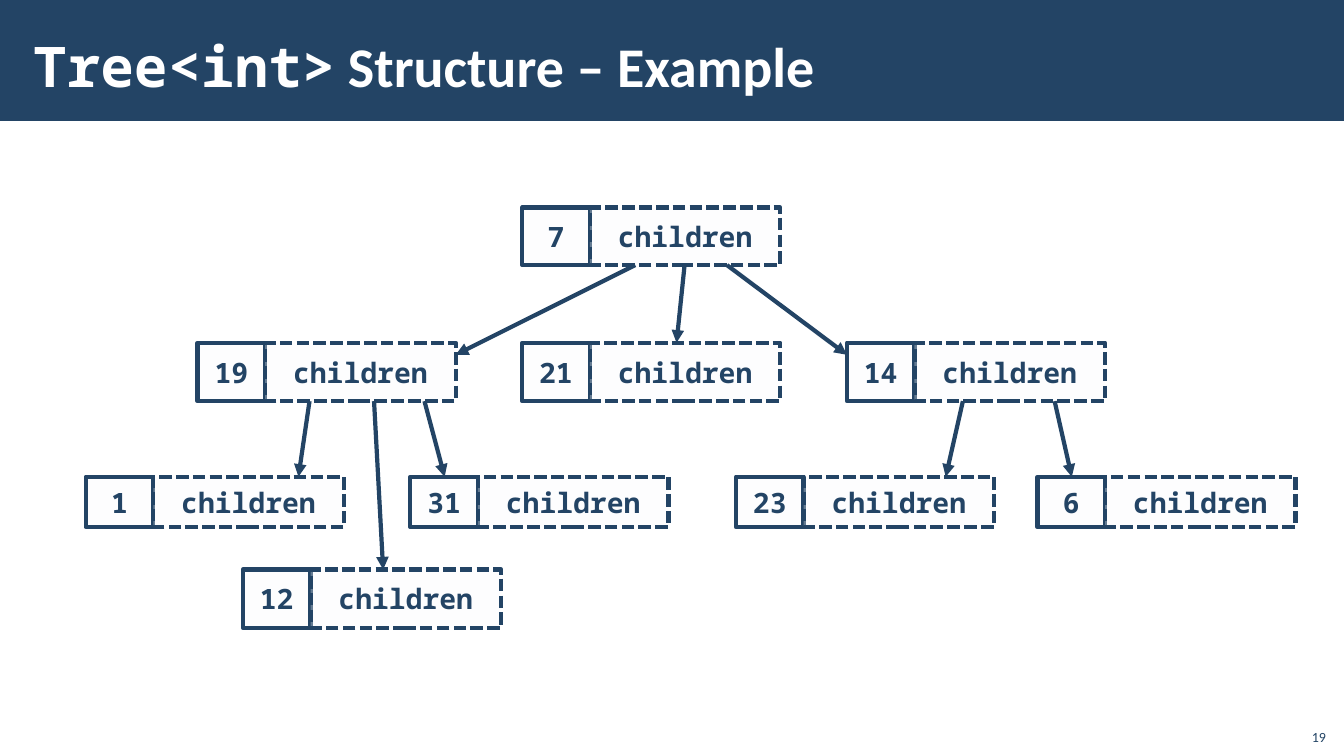
from lxml import etree
from pptx import Presentation
from pptx.dml.color import RGBColor
from pptx.enum.dml import MSO_LINE
from pptx.enum.shapes import MSO_CONNECTOR, MSO_SHAPE
from pptx.enum.text import MSO_ANCHOR as ANCHOR, PP_ALIGN as ALIGN
from pptx.oxml.ns import qn
from pptx.util import Inches, Pt

NAVY = RGBColor(0x23, 0x44, 0x65)
PALE = RGBColor(0xFB, 0xFB, 0xFC)
WHITE = RGBColor(0xFF, 0xFF, 0xFF)
MONO, SANS = "Noto Sans Mono", "Calibri"
VALUE_W, CHILDREN_W = 0.67, 1.89

# value, left, top, height
NODES = [
    ("7", 5.18, 2.06, 0.57),
    ("19", 1.96, 3.4, 0.58),
    ("21", 5.18, 3.4, 0.58),
    ("14", 8.4, 3.4, 0.58),
    ("1", 0.85, 4.73, 0.5),
    ("12", 2.41, 5.65, 0.58),
    ("31", 4.07, 4.73, 0.5),
    ("23", 7.3, 4.73, 0.5),
    ("6", 10.29, 4.73, 0.5),
]
# start x, start y, end x, end y
ARROWS = [
    (6.3, 2.63, 4.52, 3.52),
    (6.79, 2.63, 6.71, 3.4),
    (7.21, 2.63, 8.4, 3.52),
    (3.07, 3.98, 2.96, 4.73),
    (3.71, 3.98, 3.8, 5.65),
    (4.21, 3.98, 4.41, 4.73),
    (9.55, 3.98, 9.38, 4.73),
    (10.46, 3.98, 10.63, 4.73),
]


def add_text(sp, *runs, size, color=NAVY, bold=False, align=ALIGN.LEFT,
             anchor=ANCHOR.MIDDLE, wrap=True):
    """Fill a shape with one paragraph made of (text, font name) runs."""
    tf = sp.text_frame
    tf.word_wrap = wrap
    tf.vertical_anchor = anchor
    p = tf.paragraphs[0]
    p.alignment = align
    for text, font in runs:
        r = p.add_run()
        r.text = text
        r.font.name = font
        r.font.size = Pt(size)
        r.font.bold = bold
        r.font.color.rgb = color
    return tf


prs = Presentation()
prs.slide_width, prs.slide_height = Inches(13.33), Inches(7.5)
s = prs.slides.add_slide(prs.slide_layouts[6])

banner = s.shapes.add_shape(MSO_SHAPE.RECTANGLE, 0, 0, prs.slide_width, Inches(1.2))
banner.shadow.inherit = False
banner.fill.solid()
banner.fill.fore_color.rgb = NAVY
banner.line.fill.background()

title = s.shapes.add_textbox(Inches(0.21), Inches(0.04), Inches(10.47), Inches(1.21))
tf = add_text(title, ("Tree<int>", MONO), (" Structure – Example", SANS),
              size=40, color=WHITE, bold=True)
tf.margin_left = tf.margin_right = Inches(0.12)
tf.margin_top = tf.margin_bottom = Inches(0.04)

for value, left, top, height in NODES:
    cells = [(value, left, VALUE_W, MSO_LINE.SOLID),
             ("children", left + VALUE_W, CHILDREN_W, MSO_LINE.SQUARE_DOT)]
    for text, x, width, dash in cells:
        sp = s.shapes.add_shape(MSO_SHAPE.RECTANGLE, Inches(x), Inches(top),
                                Inches(width), Inches(height))
        sp.shadow.inherit = False
        sp.fill.solid()
        sp.fill.fore_color.rgb = PALE
        clr = next(sp.fill._xPr.iter(qn("a:srgbClr")))
        etree.SubElement(clr, qn("a:alpha"), val="30000")
        sp.line.color.rgb = NAVY
        sp.line.width = Pt(3)
        sp.line.dash_style = dash
        add_text(sp, (text, MONO), size=20, bold=True, align=ALIGN.CENTER, wrap=False)

for arrow in ARROWS:
    cx = s.shapes.add_connector(MSO_CONNECTOR.STRAIGHT, *map(Inches, arrow))
    cx.line.color.rgb = NAVY
    cx.line.width = Pt(3)
    etree.SubElement(cx.line._get_or_add_ln(), qn("a:tailEnd"), type="triangle")
    etree.SubElement(cx._element.spPr, qn("a:effectLst"))

number = s.shapes.add_textbox(Inches(12.85), Inches(7.12), Inches(0.4), Inches(0.32))
add_text(number, ("19", SANS), size=10, align=ALIGN.RIGHT, anchor=ANCHOR.BOTTOM)

prs.save("out.pptx")
